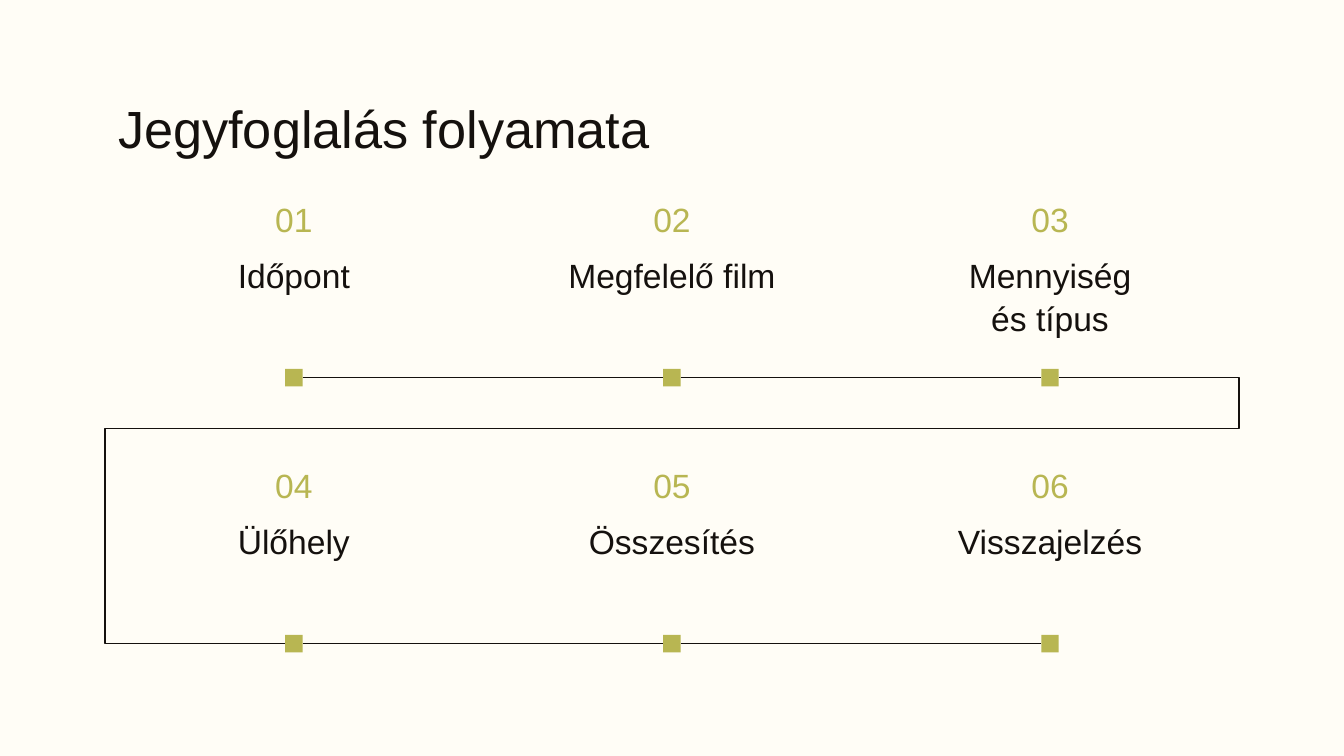
from dataclasses import dataclass

from lxml import etree
from pptx import Presentation
from pptx.dml.color import RGBColor
from pptx.enum.shapes import MSO_CONNECTOR, MSO_SHAPE
from pptx.enum.text import MSO_ANCHOR, MSO_AUTO_SIZE, PP_ALIGN
from pptx.oxml.ns import qn
from pptx.util import Inches, Pt

RECT = MSO_SHAPE.RECTANGLE
STRAIGHT, ELBOW = MSO_CONNECTOR.STRAIGHT, MSO_CONNECTOR.ELBOW
LEFT, CENTER = PP_ALIGN.LEFT, PP_ALIGN.CENTER
TOP, NO_FIT = MSO_ANCHOR.TOP, MSO_AUTO_SIZE.NONE
LEFT_SITE, RIGHT_SITE = 1, 3


@dataclass(frozen=True)
class Theme:
    font: str = "Arial"
    paper: RGBColor = RGBColor(0xFF, 0xFD, 0xF6)
    ink: RGBColor = RGBColor(0x15, 0x11, 0x0E)
    accent: RGBColor = RGBColor(0xB8, 0xB6, 0x52)
    title_size: int = 28
    step_size: int = 18
    line_width: float = 0.75
    line_spacing: float = 1.06


def write(tf, text, *, font, size, color, align=LEFT, spacing=1.0):
    """Fill a text frame with one formatted paragraph."""
    tf.word_wrap = True
    tf.auto_size = NO_FIT
    tf.vertical_anchor = TOP
    tf.margin_left = tf.margin_right = Inches(0.1)
    tf.margin_top = tf.margin_bottom = Inches(0.1)
    p = tf.paragraphs[0]
    p.text = text
    p.alignment = align
    p.line_spacing = spacing
    p.space_before = Pt(0)
    for r in p.runs:
        r.font.name = font
        r.font.size = Pt(size)
        r.font.color.rgb = color


class SlideBuilder:
    def __init__(self, s, theme):
        self.s = s
        self.theme = theme
        s.background.fill.solid()
        s.background.fill.fore_color.rgb = theme.paper

    def title(self, text, x, y, w, h):
        sp = self.s.shapes.title
        sp.left, sp.top, sp.width, sp.height = map(Inches, (x, y, w, h))
        t = self.theme
        write(sp.text_frame, text, font=t.font, size=t.title_size,
              color=t.ink, spacing=t.line_spacing)

    def label(self, text, x, y, w, h, color):
        sp = self.s.shapes.add_textbox(*map(Inches, (x, y, w, h)))
        t = self.theme
        write(sp.text_frame, text, font=t.font, size=t.step_size,
              color=color, align=CENTER, spacing=t.line_spacing)

    def marker(self, cx, cy, size):
        box = (cx - size / 2, cy - size / 2, size, size)
        sp = self.s.shapes.add_shape(RECT, *map(Inches, box))
        sp.shadow.inherit = False
        sp.fill.solid()
        sp.fill.fore_color.rgb = self.theme.accent
        sp.line.fill.background()
        return sp

    def link(self, start, end, kind=STRAIGHT):
        """Connect the right side of one marker to the left of the next."""
        line = self.s.shapes.add_connector(kind, 0, 0, 0, 0)
        line.begin_connect(start, RIGHT_SITE)
        line.end_connect(end, LEFT_SITE)
        line.line.color.rgb = self.theme.ink
        line.line.width = Pt(self.theme.line_width)
        etree.SubElement(line._element.spPr, qn("a:effectLst"))
        return line

    def wrap_link(self, start, end, right, middle, left):
        """Lead the line round the right and left edges to the next row."""
        line = self.link(start, end, ELBOW)
        dx = line.end_x - line.begin_x
        dy = line.end_y - line.begin_y
        bends = ((Inches(right) - line.begin_x) / dx,
                 (Inches(middle) - line.begin_y) / dy,
                 (Inches(left) - line.begin_x) / dx)
        geom = line._element.spPr.find(qn("a:prstGeom"))
        geom.set("prst", "bentConnector5")
        guides = geom.find(qn("a:avLst"))
        for i, bend in enumerate(bends, 1):
            etree.SubElement(guides, qn("a:gd"), name=f"adj{i}",
                             fmla=f"val {round(bend * 100000)}")


def main():
    prs = Presentation()
    prs.slide_width, prs.slide_height = Inches(10), Inches(5.625)
    theme = Theme()
    s = prs.slides.add_slide(prs.slide_layouts[5])
    slide = SlideBuilder(s, theme)

    # Grid: three columns between equal side margins
    margin, width = 0.78, 8.44
    column = width / 3
    row_tops = (1.36, 3.34)
    steps = (("Időpont", "Megfelelő film", "Mennyiség\vés típus"),
             ("Ülőhely", "Összesítés", "Visszajelzés"))

    slide.title("Jegyfoglalás folyamata", margin, 0.59, width, 0.6)

    # Numbered steps, each with a marker on the line below
    rows = []
    for row, (top, names) in enumerate(zip(row_tops, steps)):
        markers = []
        for col, name in enumerate(names):
            x = margin + col * column
            number = row * len(names) + col + 1
            slide.label(f"{number:02}", x, top, column, 0.5, theme.accent)
            slide.label(name, x, top + 0.42, column, 0.81, theme.ink)
            markers.append(slide.marker(x + column / 2, top + 1.45, 0.13))
        rows.append(markers)

    # Path through the markers
    for markers in rows:
        for start, end in zip(markers, markers[1:]):
            slide.link(start, end)
    slide.wrap_link(rows[0][-1], rows[1][0],
                    right=margin + width, middle=3.19, left=margin)

    prs.save("out.pptx")


if __name__ == "__main__":
    main()
